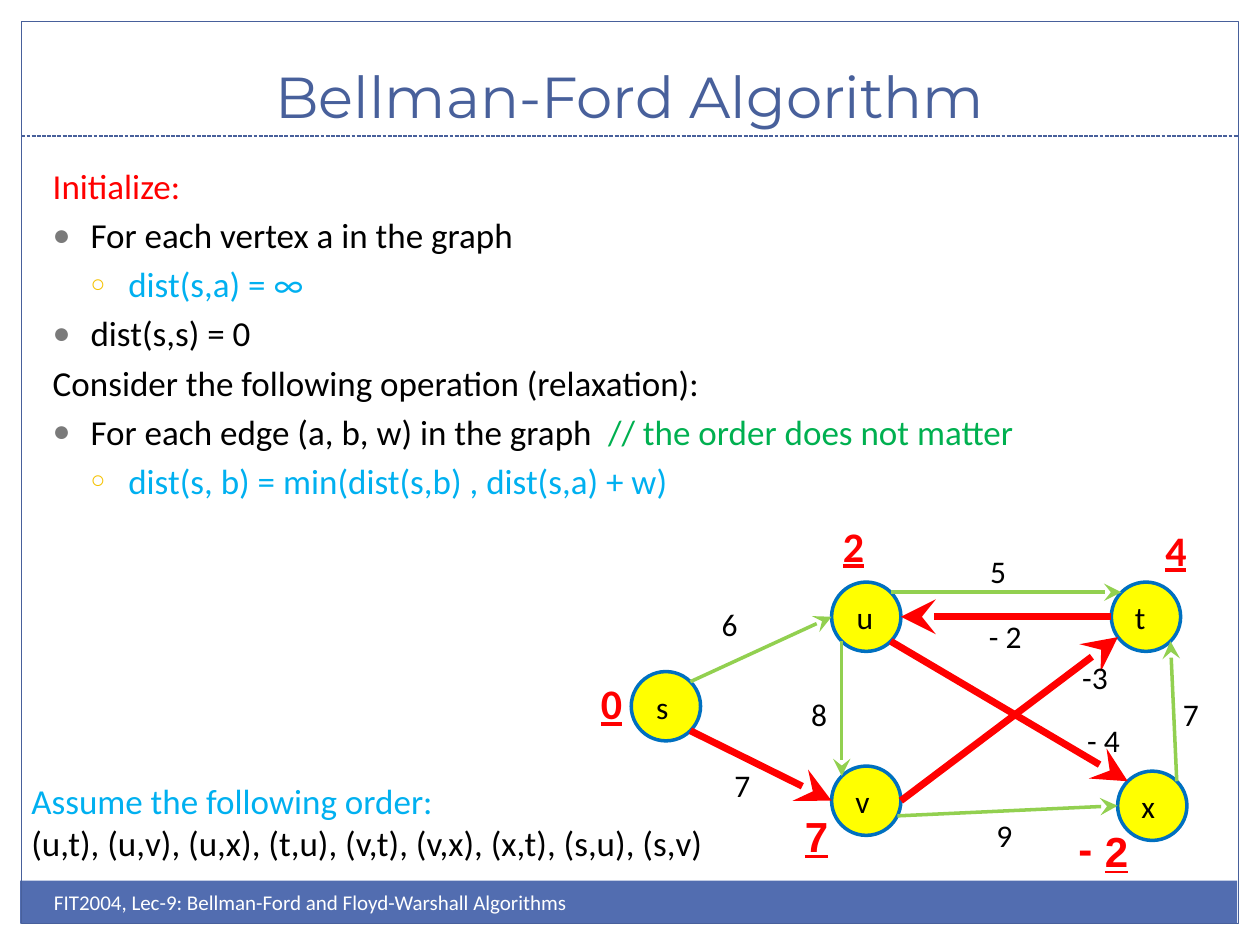
from math import cos, radians, sin

from lxml.etree import SubElement
from pptx import Presentation
from pptx.dml.color import RGBColor
from pptx.enum.dml import MSO_LINE
from pptx.enum.shapes import MSO_CONNECTOR, MSO_SHAPE
from pptx.enum.text import MSO_ANCHOR, MSO_AUTO_SIZE, PP_ALIGN
from pptx.oxml.ns import qn
from pptx.util import Emu, Pt

WHITE = RGBColor(0xFF, 0xFF, 0xFF)
BLACK = RGBColor(0x00, 0x00, 0x00)
NAVY = RGBColor(0x48, 0x60, 0x9B)
FOOTER_BLUE = RGBColor(0x52, 0x6D, 0xB0)
RED = RGBColor(0xFF, 0x00, 0x00)
SKY = RGBColor(0x00, 0xB0, 0xF0)
GREEN = RGBColor(0x00, 0xB0, 0x50)
EDGE_GREEN = RGBColor(0x92, 0xD0, 0x50)
YELLOW = RGBColor(0xFF, 0xFF, 0x00)
NODE_BLUE = RGBColor(0x00, 0x70, 0xC0)

EMU_PER_PX = 9144  # 100 px to the inch
NODE_SIZE = 55
INDENT = 30

# Level: (character, colour, size in percent)
BULLETS = {1: ("●", "7A7A7A", 85), 2: ("○", "F5C201", 70)}

# Name: (left, top, label left offset, label width)
NODES = {
    "v": (660, 608, 9, 33),
    "u": (660, 462, 10, 34),
    "x": (887, 612, 9, 33),
    "t": (882, 462, 9, 27),
    "s": (501, 533, 10, 33),
}
# Angles in degrees, clockwise from the right side of a node
EDGES = [
    ("s", -45, "u", 180, False),
    ("s", 45, "v", 180, True),
    ("u", 135, "v", -135, False),
    ("u", -45, "t", -135, False),
    ("u", 45, "x", -135, True),
    ("x", -45, "t", 45, False),
    ("v", 0, "t", 144, True),
    ("v", 26, "x", 180, False),
    ("t", 180, "u", 0, True),
]
WEIGHTS = [
    ("6", 563, 475, 34), ("7", 573, 603, 34), ("8", 634, 547, 34),
    ("5", 776, 433, 34), ("-3", 849, 517, 43), ("9", 781, 643, 34),
    ("- 4", 853, 567, 50), ("7", 929, 547, 34), ("- 2", 775, 485, 50),
]
DISTANCES = [
    ("0", 467, 533, "Calibri"), ("2", 659, 408, "Calibri"),
    ("7", 629, 638, "Arial"), ("2", 867, 650, "Arial"),
    ("4", 915, 411, "Calibri"),
]
# Bullet level and (text, colour) runs
BODY = [
    (0, [("Initialize:", RED)]),
    (1, [("For each vertex a in the graph", BLACK)]),
    (2, [("dist(s,a) = ∞", SKY)]),
    (1, [("dist(s,s) = 0", BLACK)]),
    (0, [("Consider the following operation (relaxation):", BLACK)]),
    (1, [("For each edge (a, b, w) in the graph  ", BLACK),
         ("// the order does not matter", GREEN)]),
    (2, [("dist(s, b) = min(dist(s,b) , dist(s,a) + w)", SKY)]),
]
ORDER = [
    ("Assume the following order:", SKY),
    ("(u,t), (u,v), (u,x), (t,u), (v,t), (v,x), (x,t), (s,u), (s,v)", BLACK),
]


def px(*lengths):
    return [Emu(round(length * EMU_PER_PX)) for length in lengths]


def add_run(paragraph, text, size=18, color=BLACK, font="Calibri", bold=None, underline=None):
    run = paragraph.add_run()
    run.text = text
    run.font.size = Pt(size)
    run.font.name = font
    run.font.bold = bold
    run.font.underline = underline
    run.font.color.rgb = color


def add_box(slide, left, top, width, height, wrap=False):
    frame = slide.shapes.add_textbox(*px(left, top, width, height)).text_frame
    frame.word_wrap = wrap
    frame.auto_size = MSO_AUTO_SIZE.NONE if wrap else MSO_AUTO_SIZE.SHAPE_TO_FIT_TEXT
    return frame


def add_label(slide, text, left, top, width, height=40, wrap=False, **style):
    add_run(add_box(slide, left, top, width, height, wrap).paragraphs[0], text, **style)


def add_filled_shape(slide, kind, box, fill=None, line=None, weight=0.75):
    shape = slide.shapes.add_shape(kind, *px(*box))
    shape.shadow.inherit = False
    if fill is None:
        shape.fill.background()
    else:
        shape.fill.solid()
        shape.fill.fore_color.rgb = fill
    if line is None:
        shape.line.fill.background()
    else:
        shape.line.color.rgb = line
        shape.line.width = Pt(weight)


def add_line(slide, start, end, color, weight, arrow=False, dash=None):
    connector = slide.shapes.add_connector(MSO_CONNECTOR.STRAIGHT, *px(*start, *end))
    connector.line.color.rgb = color
    connector.line.width = Pt(weight)
    if dash is not None:
        connector.line.dash_style = dash
    properties = connector.element.spPr
    if arrow:
        outline = properties.find(qn("a:ln"))
        SubElement(outline, qn("a:tailEnd"), type="stealth", w="lg", len="lg")
    SubElement(properties, qn("a:effectLst"))


def format_indent(paragraph, left, hanging=0):
    properties = paragraph._p.get_or_add_pPr()
    properties.set("marL", str(left * EMU_PER_PX))
    properties.set("indent", str(-hanging * EMU_PER_PX))
    return properties


def format_bullet(paragraph, level):
    character, color, percent = BULLETS[level]
    paragraph.level = level - 1
    properties = format_indent(paragraph, level * INDENT, INDENT)
    SubElement(SubElement(properties, qn("a:buClr")), qn("a:srgbClr"), val=color)
    SubElement(properties, qn("a:buSzPct"), val=str(percent * 1000))
    SubElement(properties, qn("a:buFont"), typeface="Arial")
    SubElement(properties, qn("a:buChar"), char=character)


def next_paragraph(frame, index):
    return frame.add_paragraph() if index else frame.paragraphs[0]


def add_background(slide):
    for box in [(0, 0, 1000, 152), (0, 0, 17, 750), (983, 0, 17, 750)]:
        add_filled_shape(slide, MSO_SHAPE.RECTANGLE, box, fill=WHITE)
    add_filled_shape(slide, MSO_SHAPE.RECTANGLE, (16, 699, 966, 34), fill=FOOTER_BLUE)
    add_filled_shape(slide, MSO_SHAPE.RECTANGLE, (17, 17, 966, 716), line=NAVY)
    add_line(slide, (17, 108), (983, 108), NAVY, 0.75, dash=MSO_LINE.SQUARE_DOT)


def add_title(slide, text):
    title = slide.shapes.title
    title.left, title.top, title.width, title.height = px(0, 25, 1000, 83)
    frame = title.text_frame
    frame.vertical_anchor = MSO_ANCHOR.BOTTOM
    frame.auto_size = MSO_AUTO_SIZE.NONE
    frame.paragraphs[0].alignment = PP_ALIGN.CENTER
    add_run(frame.paragraphs[0], text, size=33, color=NAVY, font="Montserrat")
    # Bring the title in front of the white background bands
    slide.shapes.element.append(title.element)


def add_body(slide):
    frame = add_box(slide, 32, 126, 932, 392, wrap=True)
    for index, (level, runs) in enumerate(BODY):
        paragraph = next_paragraph(frame, index)
        paragraph.space_before = Pt(4)
        if level:
            format_bullet(paragraph, level)
        for text, color in runs:
            add_run(paragraph, text, size=20, color=color)


def add_order(slide):
    frame = add_box(slide, -15, 614, 649, 77)
    for index, (text, color) in enumerate(ORDER):
        paragraph = next_paragraph(frame, index)
        paragraph.level = 1
        format_indent(paragraph, INDENT)
        add_run(paragraph, text, size=20, color=color)


def node_point(name, angle):
    left, top = NODES[name][:2]
    radius = NODE_SIZE / 2
    return (left + radius + radius * cos(radians(angle)),
            top + radius + radius * sin(radians(angle)))


def add_graph(slide):
    for name, (left, top, offset, width) in NODES.items():
        add_filled_shape(slide, MSO_SHAPE.OVAL, (left, top, NODE_SIZE, NODE_SIZE),
                         fill=YELLOW, line=NODE_BLUE, weight=2)
        add_label(slide, name, left + offset, top + 8, width)
    for source, source_angle, target, target_angle, negative in EDGES:
        color, weight = (RED, 4) if negative else (EDGE_GREEN, 2)
        add_line(slide, node_point(source, source_angle), node_point(target, target_angle),
                 color, weight, arrow=True)
    for weight_label in WEIGHTS:
        add_label(slide, *weight_label)
    # Current distances beside the nodes
    for text, left, top, font in DISTANCES:
        add_label(slide, text, left, top, 39, 50, size=24, color=RED, font=font,
                  bold=True, underline=True)
    add_label(slide, "-", 846, 648, 31, 50, size=24, color=RED, font="Arial", bold=True)


def main():
    presentation = Presentation()
    presentation.slide_width, presentation.slide_height = px(1000, 750)
    slide = presentation.slides.add_slide(presentation.slide_layouts[5])
    add_background(slide)
    add_title(slide, "Bellman-Ford Algorithm")
    add_label(slide, "FIT2004, Lec-9: Bellman-Ford and Floyd-Warshall Algorithms",
              33, 701, 500, wrap=True, size=12, color=WHITE)
    add_graph(slide)
    add_order(slide)
    add_body(slide)
    presentation.save("out.pptx")


if __name__ == "__main__":
    main()
